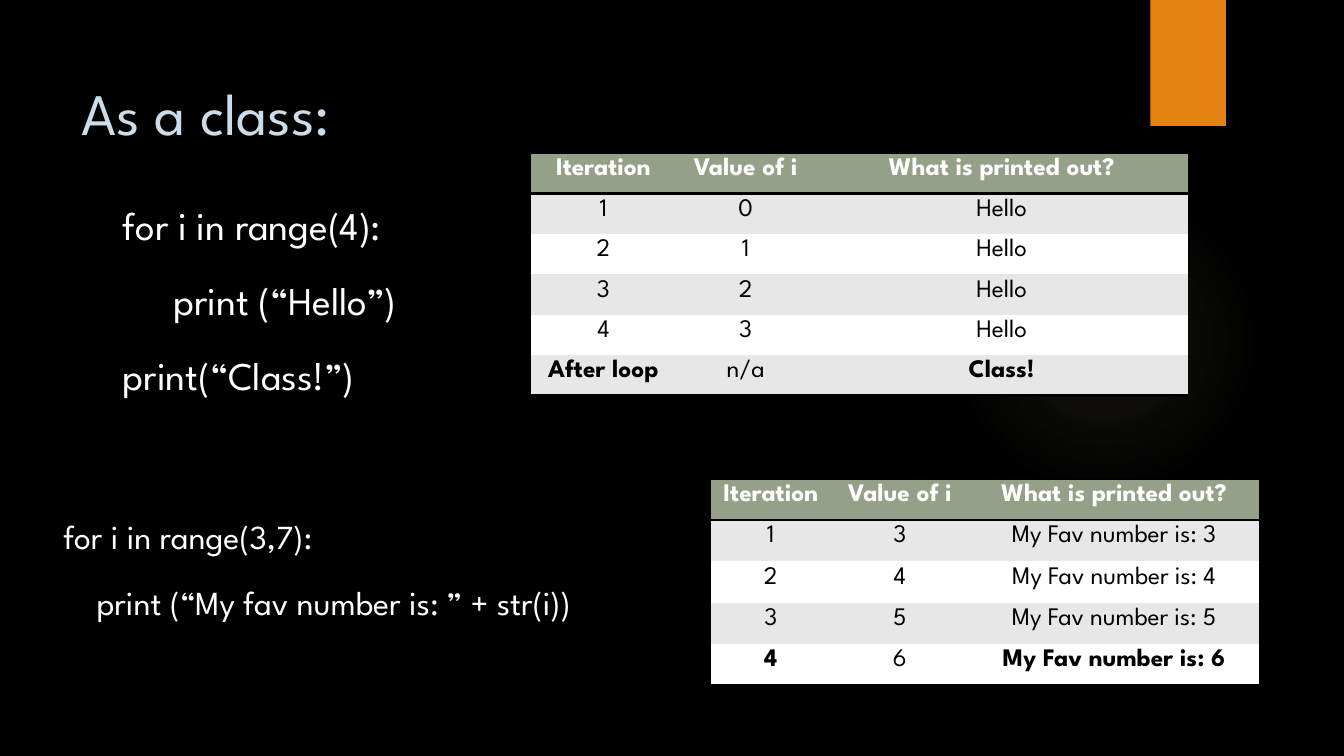
from dataclasses import dataclass

from lxml import etree
from pptx import Presentation
from pptx.dml.color import RGBColor
from pptx.enum.shapes import MSO_SHAPE
from pptx.enum.text import PP_ALIGN
from pptx.oxml import parse_xml
from pptx.oxml.ns import nsdecls, qn
from pptx.util import Inches, Pt

CENTER = PP_ALIGN.CENTER
OVAL = MSO_SHAPE.OVAL
RECT = MSO_SHAPE.RECTANGLE
PLAIN_GRID = "{2D5ABB26-0587-4C30-8999-92F81FD0307C}"


@dataclass(frozen=True)
class Theme:
    font: str = "League Spartan"
    black: str = "000000"
    white: str = "FFFFFF"
    title: str = "CCDDEA"
    accent: str = "E48312"
    glow: str = "C2BC80"
    head: str = "94A088"
    band: str = "E7E7E7"
    title_size: int = 42
    code_size: int = 28
    small_size: int = 24
    cell_size: int = 18


THEME = Theme()


def rgb(code):
    return RGBColor.from_string(code)


def style(para, size, color, bold=False):
    font = para.font
    font.name, font.size, font.bold = THEME.font, Pt(size), bold
    font.color.rgb = rgb(color)


def add_block(slide, kind, box, color):
    shape = slide.shapes.add_shape(kind, *map(Inches, box))
    shape.shadow.inherit = False
    shape.line.fill.background()
    shape.fill.solid()
    shape.fill.fore_color.rgb = rgb(color)
    return shape


def add_glow(slide, box):
    shape = add_block(slide, OVAL, box, THEME.glow)
    stops = "".join(
        f'<a:gs pos="{pos}000"><a:srgbClr val="{THEME.glow}">'
        f'<a:alpha val="{alpha}000"/></a:srgbClr></a:gs>'
        for pos, alpha in ((0, 7), (36, 6), (69, 0)))
    grad = parse_xml(
        f'<a:gradFill {nsdecls("a")}><a:gsLst>{stops}</a:gsLst>'
        '<a:path path="circle"><a:fillToRect l="50000" t="50000" '
        'r="50000" b="50000"/></a:path></a:gradFill>')
    props = shape.element.spPr
    props.replace(props.find(qn("a:solidFill")), grad)


def add_text(slide, box, lines, size, color):
    """Each line is a pair: its text and its indent in inches."""
    frame = slide.shapes.add_textbox(*map(Inches, box)).text_frame
    frame.word_wrap = True
    for i, (text, indent) in enumerate(lines):
        para = frame.add_paragraph() if i else frame.paragraphs[0]
        para.text = text
        para.line_spacing = 1.3
        if i:
            para.space_before = Pt(10)
        if indent:
            para._p.get_or_add_pPr().set("marL", str(Inches(indent)))
        style(para, size, color)


def add_rule(cell, side):
    """Draw a black border; must come before the cell's fill."""
    line = etree.SubElement(cell._tc.get_or_add_tcPr(), qn(f"a:{side}"),
                            w=str(Pt(2)))
    fill = etree.SubElement(line, qn("a:solidFill"))
    etree.SubElement(fill, qn("a:srgbClr"), val=THEME.black)


def fill_cell(cell, text, color, ink, bold, sides):
    for side in sides:
        add_rule(cell, side)
    cell.fill.solid()
    cell.fill.fore_color.rgb = rgb(color)
    para = cell.text_frame.paragraphs[0]
    para.text = text
    para.alignment = CENTER
    style(para, THEME.cell_size, ink, bold)


def add_trace(slide, left, top, widths, height, rows):
    """Trace table: green header, grey and white bands, bold last row."""
    rows = [("Iteration", "Value of i", "What is printed out?"), *rows]
    last = len(rows) - 1
    frame = slide.shapes.add_table(
        len(rows), len(widths), Inches(left), Inches(top),
        Inches(sum(widths)), Inches(height * len(rows)))
    table = frame.table
    table.first_row = table.horz_banding = False
    table._tbl.tblPr.find(qn("a:tableStyleId")).text = PLAIN_GRID
    for col, width in zip(table.columns, widths):
        col.width = Inches(width)
    for r, row in enumerate(rows):
        table.rows[r].height = Inches(height)
        if r == 0:
            color, ink, sides = THEME.head, THEME.white, ("lnT", "lnB")
        else:
            color = THEME.band if r % 2 else THEME.white
            ink, sides = THEME.black, ("lnB",) if r == last else ()
        for c, text in enumerate(row):
            bold = r == 0 or (r == last and c != 1)
            fill_cell(table.cell(r, c), text, color, ink, bold, sides)


def main():
    deck = Presentation()
    deck.slide_width, deck.slide_height = Inches(13.33), Inches(7.5)
    slide = deck.slides.add_slide(deck.slide_layouts[6])
    slide.background.fill.solid()
    slide.background.fill.fore_color.rgb = rgb(THEME.black)

    # Backdrop and title
    add_glow(slide, (9.41, 1.83, 3.08, 3.08))
    add_block(slide, RECT, (11.41, 0, 0.75, 1.25), THEME.accent)
    add_text(slide, (0.71, 0.5, 10.29, 1.53), [("As a class:", 0)],
             THEME.title_size, THEME.title)

    # First loop and its trace
    add_text(slide, (1.12, 1.81, 3.73, 1.36),
             [("for i in range(4):", 0), ("print (“Hello”)", 0.5),
              ("print(“Class!”)", 0)],
             THEME.code_size, THEME.white)
    hello = [(str(i + 1), str(i), "Hello") for i in range(4)]
    add_trace(slide, 5.27, 1.52, (1.43, 1.39, 3.69), 0.4,
              [*hello, ("After loop", "n/a", "Class!")])

    # Second loop and its trace
    add_text(slide, (0.53, 4.95, 6.06, 1.63),
             [("for i in range(3,7):", 0),
              ("print (“My fav number is: ” + str(i))", 0.33)],
             THEME.small_size, THEME.white)
    add_trace(slide, 7.05, 4.75, (1.19, 1.37, 2.88), 0.41,
              [(str(n), str(i), f"My Fav number is: {i}")
               for n, i in enumerate(range(3, 7), 1)])

    deck.save("out.pptx")


if __name__ == "__main__":
    main()
